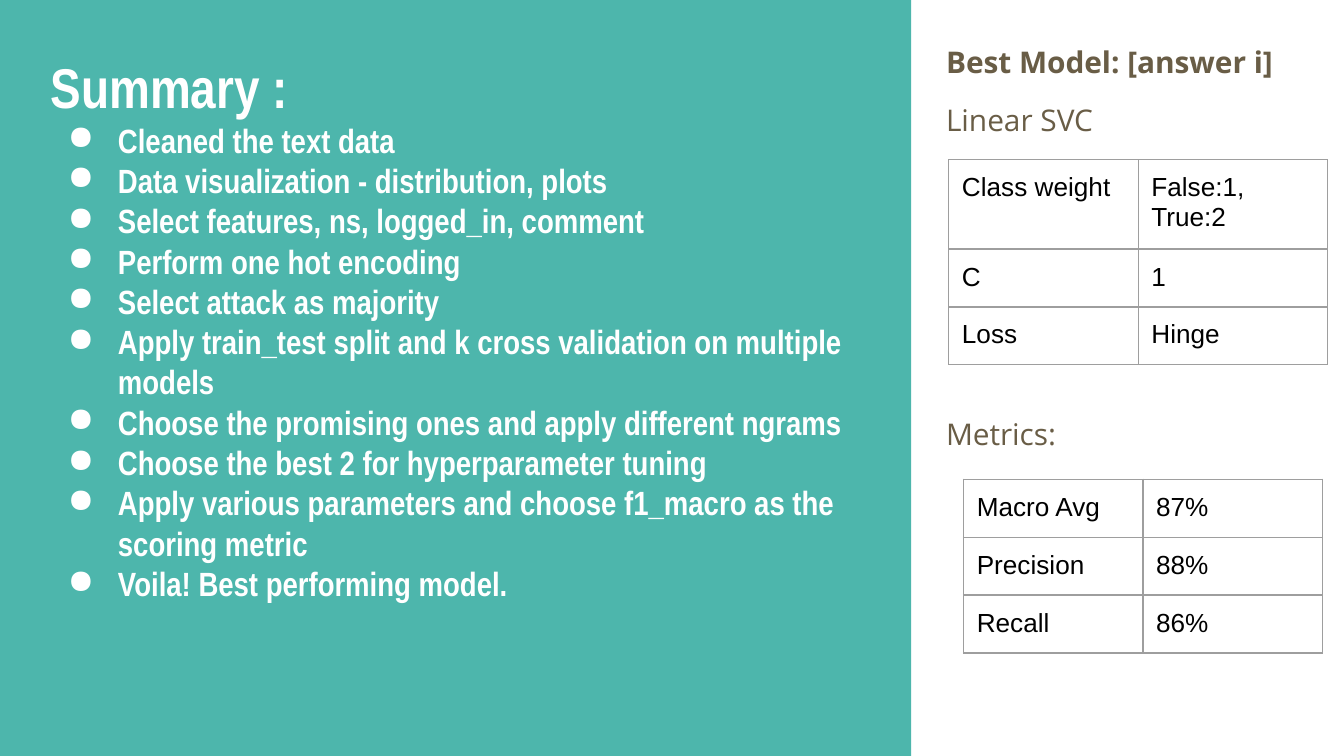
from pptx import Presentation
from pptx.dml.color import RGBColor
from pptx.enum.shapes import MSO_SHAPE
from pptx.oxml.ns import qn
from pptx.util import Cm, Pt
from lxml.etree import SubElement

TEAL = RGBColor(0x4D, 0xB6, 0xAC)
WHITE = RGBColor(0xFF, 0xFF, 0xFF)
BROWN = RGBColor(0x69, 0x5D, 0x46)
BLACK = RGBColor(0, 0, 0)
GREY = RGBColor(0x9E, 0x9E, 0x9E)
INSET = Cm(0.25)

STEPS = [
    "Cleaned the text data",
    "Data visualization - distribution, plots",
    "Select features, ns, logged_in, comment",
    "Perform one hot encoding",
    "Select attack as majority",
    "Apply train_test split and k cross validation on multiple models",
    "Choose the promising ones and apply different ngrams",
    "Choose the best 2 for hyperparameter tuning",
    "Apply various parameters and choose f1_macro as the scoring metric",
    "Voila! Best performing model.",
]
PARAMETERS = [("Class weight", "False:1, True:2"), ("C", "1"), ("Loss", "Hinge")]
METRICS = [("Macro Avg", "87%"), ("Precision", "88%"), ("Recall", "86%")]


def add_text(tf, text, *, font, size, color, bold=False, bullet=False,
             line=None, before=0):
    p = tf.paragraphs[0]
    if p.runs:
        p = tf.add_paragraph()
    p.space_before = Pt(before)
    if line:
        p.line_spacing = line
    if bullet:
        pPr = p._p.get_or_add_pPr()
        pPr.set("marL", str(Cm(1.27)))
        pPr.set("indent", str(-Cm(0.95)))
        SubElement(pPr, qn("a:buChar"), char="●")
    r = p.add_run()
    r.text = text
    r.font.name = font
    r.font.size = Pt(size)
    r.font.bold = bold
    r.font.color.rgb = color


def add_box(s, left, top, width, height):
    tf = s.shapes.add_textbox(Cm(left), Cm(top), Cm(width), Cm(height)).text_frame
    tf.word_wrap = True
    tf.margin_left = tf.margin_right = tf.margin_top = tf.margin_bottom = INSET
    return tf


def set_borders(cell):
    tcPr = cell._tc.get_or_add_tcPr()
    for i, side in enumerate(("lnL", "lnR", "lnT", "lnB")):
        ln = SubElement(tcPr, qn(f"a:{side}"), w=str(Pt(0.75)))
        fill = SubElement(ln, qn("a:solidFill"))
        SubElement(fill, qn("a:srgbClr"), val=str(GREY))
        tcPr.insert(i, ln)


def add_grid(s, rows, left, top, col_width, row_heights):
    table = s.shapes.add_table(len(rows), 2, Cm(left), Cm(top),
                               Cm(2 * col_width), Cm(sum(row_heights))).table
    table.first_row = table.horz_banding = False
    for col in table.columns:
        col.width = Cm(col_width)
    for row, height, texts in zip(table.rows, row_heights, rows):
        row.height = Cm(height)
        for cell, text in zip(row.cells, texts):
            cell.fill.background()
            cell.margin_left = cell.margin_right = INSET
            cell.margin_top = cell.margin_bottom = INSET
            add_text(cell.text_frame, text, font="Arial", size=14, color=BLACK)
            set_borders(cell)


def add_summary(s, left, top, width, height):
    panel = s.shapes.add_shape(MSO_SHAPE.RECTANGLE, Cm(left), Cm(top),
                               Cm(width), Cm(height))
    panel.shadow.inherit = False
    panel.fill.solid()
    panel.fill.fore_color.rgb = TEAL
    panel.line.fill.background()
    tf = add_box(s, left + 0.71, top + 0.74, width - 1.37, height - 1.6)
    style = dict(font="Arial Narrow", color=WHITE, bold=True)
    add_text(tf, "Summary :", size=30, **style)
    for step in STEPS:
        add_text(tf, step, size=18, bullet=True, **style)


def add_results(s, left, top, width):
    style = dict(font="Open Sans", size=16, color=BROWN, line=0.9)
    tf = add_box(s, left, top, width, 2.4)
    add_text(tf, "Best Model: [answer i]", bold=True, **style)
    add_text(tf, "Linear SVC", before=13.6, **style)
    add_grid(s, PARAMETERS, left + 0.3, top + 2.36, 3.58, [1.66, 1.09, 1.09])
    add_text(add_box(s, left, top + 7.03, width, 1.2), "Metrics:", **style)
    add_grid(s, METRICS, left + 0.58, top + 8.4, 3.39, [1.06] * 3)


def main():
    prs = Presentation()
    prs.slide_width, prs.slide_height = Cm(25.4), Cm(14.29)
    s = prs.slides.add_slide(prs.slide_layouts[6])
    add_summary(s, 0, 0, 17.22, 14.29)
    add_results(s, 17.63, 0.66, 7.77)
    prs.save("out.pptx")


if __name__ == "__main__":
    main()
